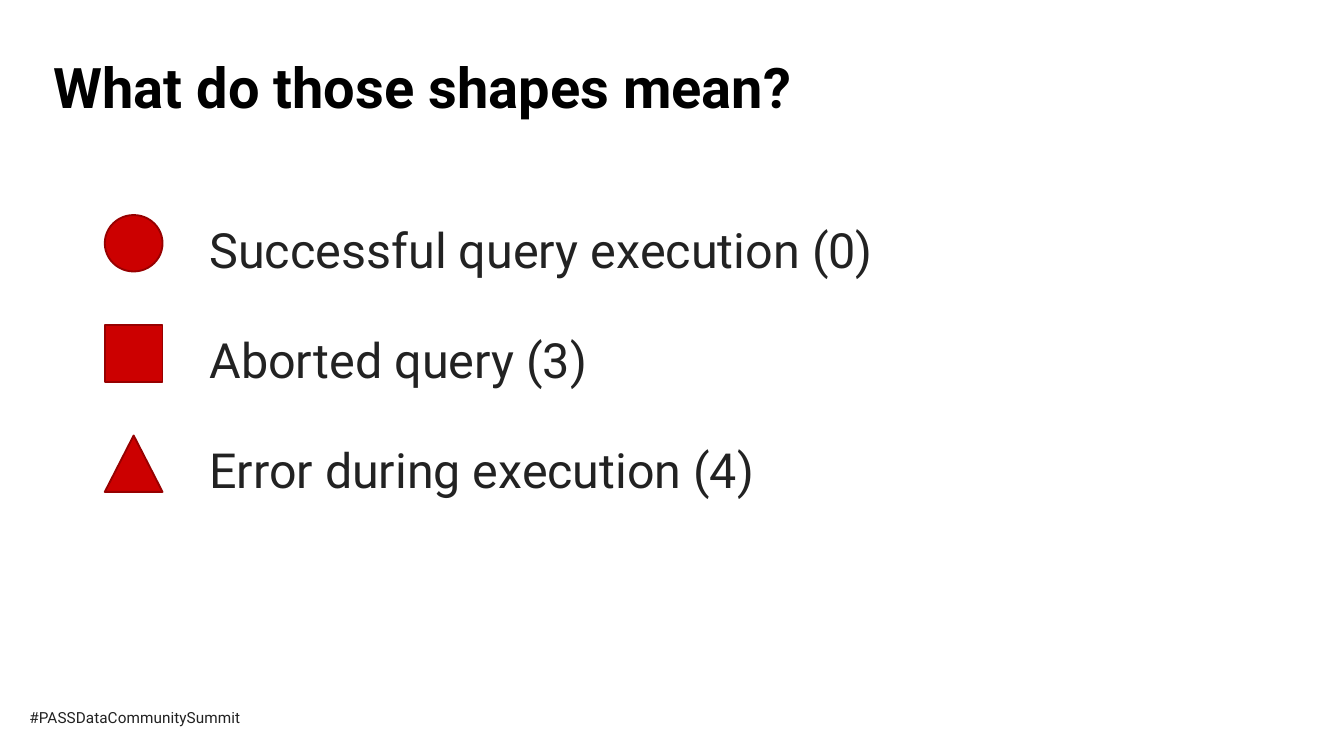
from dataclasses import dataclass

from pptx import Presentation
from pptx.dml.color import RGBColor
from pptx.enum import shapes, text
from pptx.util import Inches, Pt

COLORS = {"title": "000000", "body": "222222", "marker": "CC0000", "outline": "970000"}
FONT = "Roboto"
FIRST_ROW_TOP = 1.5
ROW_STEP = 0.82
MARKER_OFFSET = 0.1


@dataclass
class Label:
    content: str
    left: float
    top: float
    width: float
    height: float
    size: float
    color: str = "body"
    bold: bool = False
    line_spacing: float = 1.0
    wrap: bool = True


@dataclass
class LegendEntry:
    marker: shapes.MSO_SHAPE
    meaning: str
    size: float = 26


def draw_label(slide, label: Label) -> None:
    shape = slide.shapes.add_textbox(
        Inches(label.left), Inches(label.top), Inches(label.width), Inches(label.height)
    )
    text_frame = shape.text_frame
    text_frame.text = label.content
    text_frame.word_wrap = label.wrap
    text_frame.vertical_anchor = text.MSO_ANCHOR.TOP
    paragraph = text_frame.paragraphs[0]
    paragraph.line_spacing = label.line_spacing
    font = paragraph.runs[0].font
    font.name = FONT
    font.size = Pt(label.size)
    font.bold = label.bold
    font.color.rgb = RGBColor.from_string(COLORS[label.color])


def draw_entry(slide, entry: LegendEntry, top: float) -> None:
    draw_label(slide, Label(entry.meaning, 1.46, top, 7.33, 0.64, entry.size, line_spacing=1.2))
    shape = slide.shapes.add_shape(
        entry.marker, Inches(0.78), Inches(top + MARKER_OFFSET), Inches(0.43), Inches(0.42)
    )
    shape.shadow.inherit = False
    shape.fill.solid()
    shape.fill.fore_color.rgb = RGBColor.from_string(COLORS["marker"])
    shape.line.color.rgb = RGBColor.from_string(COLORS["outline"])
    shape.line.width = Pt(1)


def main() -> None:
    presentation = Presentation()
    presentation.slide_width = Inches(10)
    presentation.slide_height = Inches(10) * 9 // 16
    slide = presentation.slides.add_slide(presentation.slide_layouts[6])

    draw_label(slide, Label("#PASSDataCommunitySummit", 0.12, 5.22, 1.8, 0.24, 8.25, wrap=False))
    draw_label(slide, Label("What do those shapes mean?", 0.3, 0.4, 7.73, 1.09, 30,
                            color="title", bold=True, line_spacing=0.9))

    entries = [
        LegendEntry(shapes.MSO_SHAPE.OVAL, "Successful query execution (0)"),
        LegendEntry(shapes.MSO_SHAPE.RECTANGLE, "Aborted query (3)"),
        LegendEntry(shapes.MSO_SHAPE.ISOSCELES_TRIANGLE, "Error during execution (4)", 25.9),
    ]
    for row, entry in enumerate(entries):
        draw_entry(slide, entry, FIRST_ROW_TOP + row * ROW_STEP)

    presentation.save("out.pptx")


if __name__ == "__main__":
    main()
